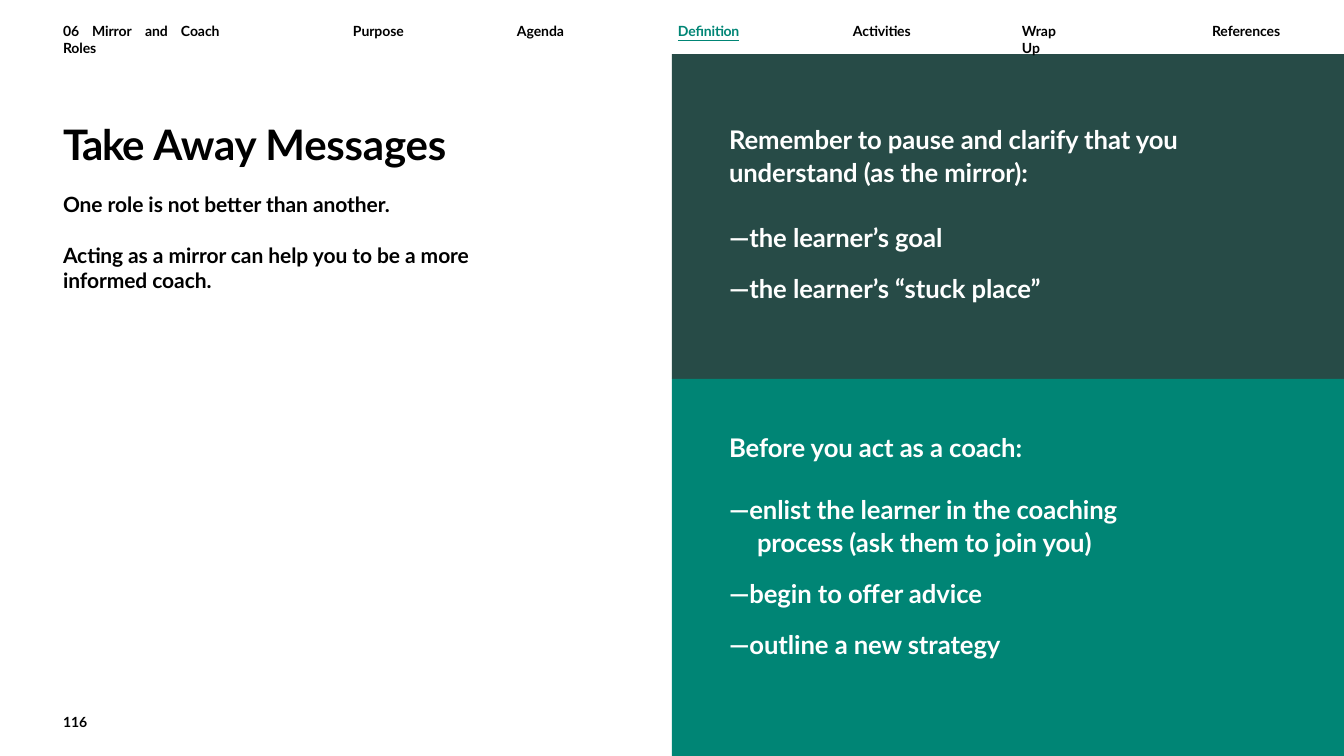
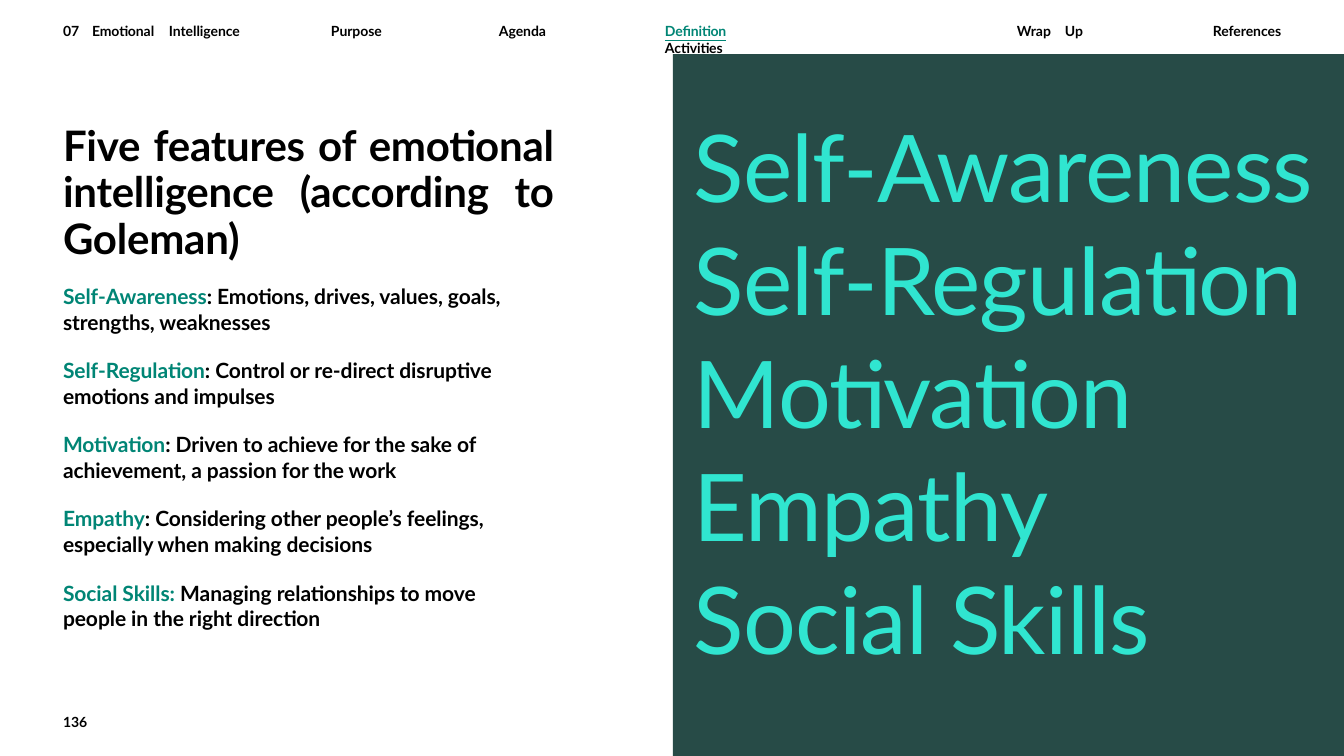
from typing import NamedTuple, Optional

from pptx import Presentation
from pptx.dml.color import RGBColor
from pptx.enum.shapes import MSO_SHAPE
from pptx.enum.text import MSO_ANCHOR, MSO_AUTO_SIZE, PP_ALIGN
from pptx.oxml.ns import qn
from pptx.util import Emu, Pt
from lxml import etree

BLACK = RGBColor(0x00, 0x00, 0x00)
WHITE = RGBColor(0xFF, 0xFF, 0xFF)
DARK_GREEN = RGBColor(0x27, 0x4B, 0x47)
TEAL = RGBColor(0x00, 0x85, 0x75)
AQUA = RGBColor(0x30, 0xE5, 0xD0)

FONT = "Lato"
SLIDE_W, SLIDE_H = 1344, 756
MARGIN = 63
MIDDLE = SLIDE_W // 2
HEADER_H = 54
PANEL_SPLIT = 379
PANEL_TEXT_X = 729


class Style(NamedTuple):
    size: float
    color: RGBColor = BLACK
    bold: bool = True
    tracking: float = -0.05
    line: object = 1.0
    align: PP_ALIGN = PP_ALIGN.LEFT


class Piece(NamedTuple):
    text: str
    color: Optional[RGBColor] = None
    underline: bool = False
    tracking: Optional[float] = None


SMALL = Style(12)
PAGE_NUMBER = Style(12, tracking=0)
TITLE = Style(36, tracking=-0.2)
TALL_TITLE = TITLE._replace(line=Pt(40), align=PP_ALIGN.JUSTIFY)
BODY = Style(18, line=1.02)
PANEL = Style(22, WHITE, line=1.06)
KEYWORD = Style(80, AQUA, bold=False, tracking=-0.8)

CURRENT = Piece("Definition", TEAL, True, -0.1)


def px(n):
    return Emu(round(n * 914400 / 84))


def place(shape, x, y, w, h):
    shape.left, shape.top, shape.width, shape.height = map(px, (x, y, w, h))
    frame = shape.text_frame
    frame.word_wrap = True
    frame.auto_size = MSO_AUTO_SIZE.NONE
    frame.vertical_anchor = MSO_ANCHOR.TOP
    frame.margin_left = frame.margin_right = 0
    frame.margin_top = frame.margin_bottom = 0
    return frame


def write(paragraph, content, style, before=0, hang=0, tabs=()):
    pieces = [Piece(content)] if isinstance(content, str) else content
    paragraph.alignment = style.align
    paragraph.line_spacing = style.line
    paragraph.space_before = Pt(before)
    p_pr = paragraph._p.get_or_add_pPr()
    p_pr.set("marL", str(px(hang)))
    etree.SubElement(p_pr, qn("a:buNone"))
    if tabs:
        stops = etree.SubElement(p_pr, qn("a:tabLst"))
        for stop in tabs:
            etree.SubElement(stops, qn("a:tab"), pos=str(px(stop)), algn="l")
    else:
        p_pr.set("indent", str(px(-hang)))
    font = paragraph.font
    font.name = FONT
    font.size = Pt(style.size)
    font.bold = style.bold
    font.color.rgb = style.color
    for piece in pieces:
        run = paragraph.add_run()
        run.text = piece.text
        if piece.color is not None:
            run.font.color.rgb = piece.color
        if piece.underline:
            run.font.underline = True
        tracking = style.tracking if piece.tracking is None else piece.tracking
        run._r.get_or_add_rPr().set("spc", str(round(tracking * 100)))


def write_list(frame, contents, style, gap, first_gap=None, hang=0):
    for i, content in enumerate(contents):
        paragraph = frame.add_paragraph() if i else frame.paragraphs[0]
        before = 0 if i == 0 else gap
        if i == 1 and first_gap is not None:
            before = first_gap
        write(paragraph, content, style, before, hang if i else 0)


def add_text(slide, x, y, w, h):
    return place(slide.shapes.add_textbox(0, 0, 0, 0), x, y, w, h)


def add_band(slide, left, top, bottom, color):
    band = slide.shapes.add_shape(
        MSO_SHAPE.RECTANGLE, px(left), px(top), px(SLIDE_W - left), px(bottom - top))
    band.shadow.inherit = False
    band.fill.solid()
    band.fill.fore_color.rgb = color
    band.line.fill.background()


def add_nav(slide, entries):
    for x, w, content, *tabs in entries:
        label = add_text(slide, x, 23, w, 19)
        write(label.paragraphs[0], content, SMALL, tabs=tabs)


def add_page_number(slide, number):
    page = add_text(slide, MARGIN, 714, 30, 19)
    write(page.paragraphs[0], number, PAGE_NUMBER)


def set_title(slide, content, style, y, h):
    frame = place(slide.shapes.title, MARGIN, y, 491, h)
    write(frame.paragraphs[0], content, style)


def set_body(slide, contents, y, h, gap):
    frame = place(slide.placeholders[1], MARGIN, y, 460, h)
    write_list(frame, contents, BODY, gap)


def build_take_away(deck):
    slide = deck.slides.add_slide(deck.slide_layouts[1])
    set_title(slide, [Piece("Take ", tracking=-1.2), Piece("Away Messages")],
              TITLE, 119, 52)
    set_body(slide, [
        "One role is not better than another.",
        "Acting as a mirror can help you to be a more informed coach.",
    ], 191, 106, 21.5)

    panels = [
        (HEADER_H, PANEL_SPLIT, DARK_GREEN, 122, 28, [
            "Remember to pause and clarify that you understand (as the mirror):",
            "—the learner’s goal",
            "—the learner’s “stuck place”",
        ]),
        (PANEL_SPLIT, SLIDE_H, TEAL, 430, 25.5, [
            "Before you act as a coach:",
            "—enlist the learner in the coaching process (ask them to join you)",
            "—begin to offer advice",
            "—outline a new strategy",
        ]),
    ]
    for top, bottom, color, text_y, first_gap, lines in panels:
        add_band(slide, MIDDLE, top, bottom, color)
        frame = add_text(slide, PANEL_TEXT_X, text_y, 467, bottom - text_y - 60)
        write_list(frame, lines, PANEL, 16, first_gap, hang=28)

    add_nav(slide, [
        (MARGIN, 190, "06\tMirror\tand\tCoach\tRoles", 29, 82, 118, 170),
        (353, 60, "Purpose"),
        (517, 60, "Agenda"),
        (678, 70, [CURRENT]),
        (853, 70, "Activities"),
        (1022, 60, "Wrap\tUp", 48),
        (1212, 80, "References"),
    ])
    add_page_number(slide, "116")


def build_five_features(deck):
    slide = deck.slides.add_slide(deck.slide_layouts[1])
    set_title(slide, "Five features of emotional intelligence (according to Goleman)",
              TALL_TITLE, 123, 140)
    features = [
        ("Self-Awareness", ": Emotions, drives, values, goals, strengths, weaknesses"),
        ("Self-Regulation", ": Control or re-direct disruptive emotions and impulses"),
        ("Motivation", ": Driven to achieve for the sake of achievement, a passion for the work"),
        ("Empathy", ": Considering other people’s feelings, especially when making decisions"),
        ("Social Skills:", " Managing relationships to move people in the right direction"),
    ]
    set_body(slide, [[Piece(name, TEAL), Piece(meaning)] for name, meaning in features],
             283, 360, 19.5)

    add_band(slide, MIDDLE + 1, HEADER_H, SLIDE_H, DARK_GREEN)
    keywords = add_text(slide, 694, 109, 650, 570)
    write_list(keywords, [name.rstrip(":") for name, _ in features], KEYWORD, 1)

    add_band(slide, 0, 0, HEADER_H, WHITE)
    add_nav(slide, [
        (MARGIN, 190, "07\tEmotional\tIntelligence", 29, 106),
        (331, 60, "Purpose"),
        (499, 60, "Agenda"),
        (665, 230, [CURRENT, Piece("\tActivities")], 180),
        (1017, 270, "Wrap\tUp\tReferences", 48, 196),
    ])
    add_page_number(slide, "136")


def main():
    deck = Presentation()
    deck.slide_width, deck.slide_height = px(SLIDE_W), px(SLIDE_H)
    build_take_away(deck)
    build_five_features(deck)
    deck.save("out.pptx")


if __name__ == "__main__":
    main()
